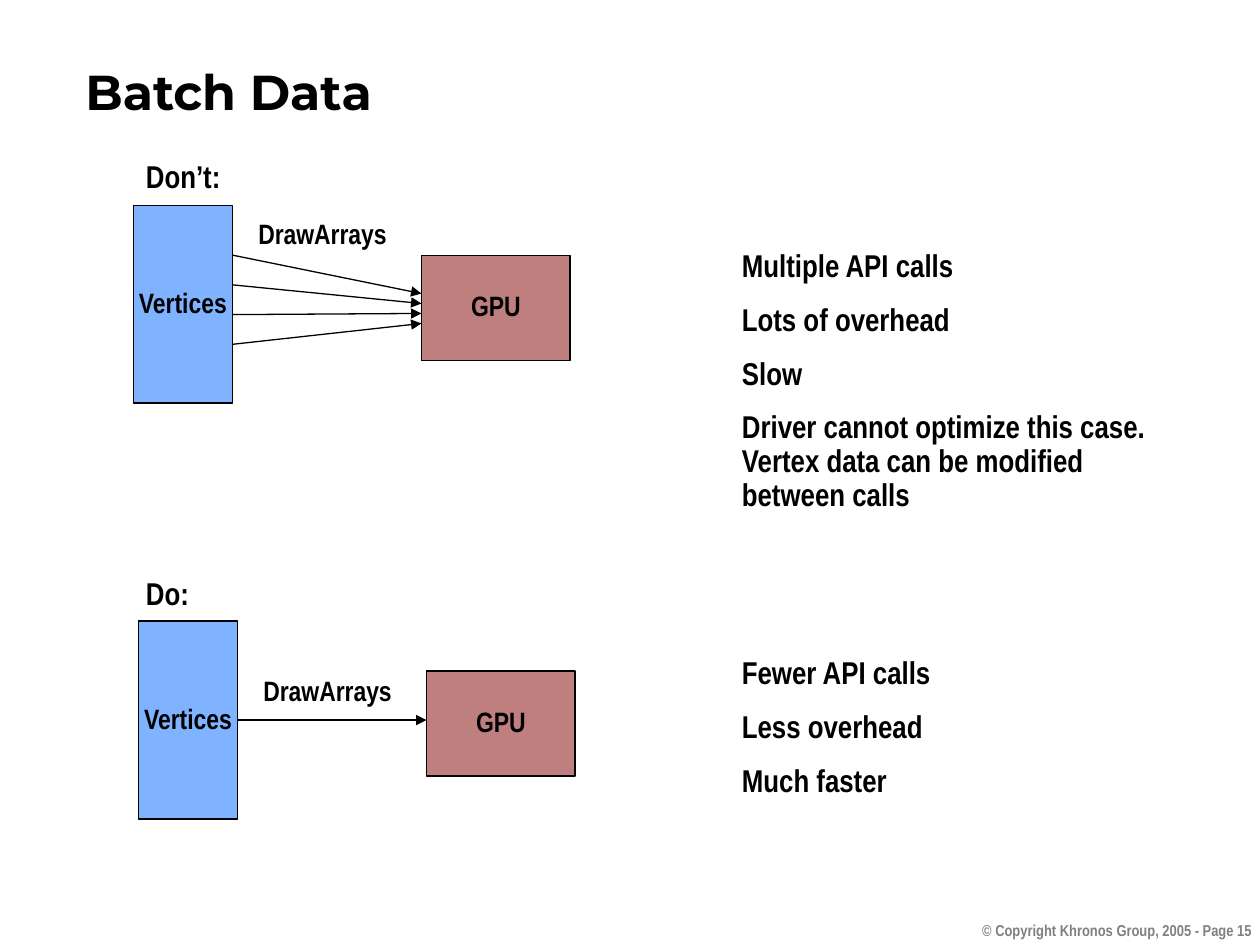
from pptx import Presentation
from pptx.dml.color import RGBColor
from pptx.enum.shapes import MSO_CONNECTOR as Connector, MSO_SHAPE as Shape
from pptx.enum.text import MSO_ANCHOR as Anchor, PP_ALIGN as Align
from pptx.oxml.ns import qn
from pptx.util import Inches, Pt
from lxml.etree import SubElement

BLACK = RGBColor(0x00, 0x00, 0x00)
GRAY = RGBColor(0x80, 0x80, 0x80)
BLUE = RGBColor(0x00, 0x66, 0xFF)
MAROON = RGBColor(0x80, 0x00, 0x00)
COLUMNS, ROWS = 100, 75
RIGHT_SIDE = 3


def write(frame, text, font="Arial Narrow", size=18, color=BLACK,
          align=Align.LEFT, anchor=Anchor.TOP, spacing=0.9, gap=11.2, wrap=True):
    """Fill a text frame with one paragraph per line of text."""
    frame.word_wrap = wrap
    frame.vertical_anchor = anchor
    for index, line in enumerate(text.split("\n")):
        paragraph = frame.add_paragraph() if index else frame.paragraphs[0]
        paragraph.alignment = align
        paragraph.line_spacing = spacing
        paragraph.space_before = Pt(gap if index else 0)
        run = paragraph.add_run()
        run.text = line
        run.font.name = font
        run.font.size = Pt(size)
        run.font.bold = True
        run.font.color.rgb = color


class SlideBuilder:
    """Draws elements on one slide, with lengths in grid columns and rows."""

    def __init__(self, presentation):
        self.slide = presentation.slides.add_slide(presentation.slide_layouts[6])
        self.column = presentation.slide_width / COLUMNS
        self.row = presentation.slide_height / ROWS

    def place(self, *lengths):
        units = (self.column, self.row) * 2
        return [round(length * unit) for length, unit in zip(lengths, units)]

    def label(self, text, left, top, width, height, **style):
        box = self.slide.shapes.add_textbox(*self.place(left, top, width, height))
        write(box.text_frame, text, **style)

    def block(self, text, left, top, width, height, color):
        shape = self.slide.shapes.add_shape(
            Shape.RECTANGLE, *self.place(left, top, width, height))
        shape.shadow.inherit = False
        shape.fill.solid()
        shape.fill.fore_color.rgb = color
        fill_color = shape.fill._xPr.find(qn("a:solidFill"))[0]
        SubElement(fill_color, qn("a:alpha"), val="50000")
        shape.line.color.rgb = BLACK
        shape.line.width = Pt(0.75)
        write(shape.text_frame, text, size=16, align=Align.CENTER,
              anchor=Anchor.MIDDLE, wrap=False)
        return shape

    def arrow(self, *ends):
        connector = self.slide.shapes.add_connector(
            Connector.STRAIGHT, *self.place(*ends))
        connector.line.color.rgb = BLACK
        connector.line.width = Pt(0.75)
        SubElement(connector.line._get_or_add_ln(), qn("a:tailEnd"), type="triangle")
        SubElement(connector._element.spPr, qn("a:effectLst"))
        return connector

    def diagram(self, left, top, label_drop, arrow_drops):
        """Draw vertices feeding the GPU; each drop pair is an arrow's two ends."""
        vertices = self.block("Vertices", left, top, 7.85, 15.7, BLUE)
        self.block("GPU", left + 22.85, top + 3.95, 11.8, 8.35, MAROON)
        arrows = [self.arrow(left + 7.85, top + start, left + 22.85, top + end)
                  for start, end in arrow_drops]
        if len(arrows) == 1:
            arrows[0].begin_connect(vertices, RIGHT_SIDE)
        self.label("DrawArrays", left + 7.9, top + label_drop, 14.2, 3.4,
                   size=16, align=Align.CENTER)


def main():
    presentation = Presentation()
    presentation.slide_width = Inches(10)
    presentation.slide_height = Inches(7.5)
    builder = SlideBuilder(presentation)

    builder.label("© Copyright Khronos Group, 2005 - Page 15", 76.4, 72.6, 23.9, 3.3,
                  size=9, color=GRAY, align=Align.RIGHT, spacing=1)
    builder.label("Batch Data", 5.8, 5.1, 93.7, 4.2, font="Montserrat", size=28,
                  anchor=Anchor.MIDDLE, spacing=1)

    builder.label("Don’t:", 10.6, 12.3, 11, 3.7)
    builder.diagram(10.6, 16.3, 0.7,
                    [(3.95 + 2.36 * index, 7 + 0.79 * index) for index in range(4)])
    builder.label("Multiple API calls\nLots of overhead\nSlow\n"
                  "Driver cannot optimize this case. "
                  "Vertex data can be modified between calls",
                  57.9, 19.4, 35.4, 21.9)

    builder.label("Do:", 10.6, 45.4, 7.9, 3.7)
    builder.diagram(11, 49.3, 4, [(7.85, 7.85)])
    builder.label("Fewer API calls\nLess overhead\nMuch faster", 57.9, 51.7, 21.3, 12.3)

    presentation.save("out.pptx")


if __name__ == "__main__":
    main()
